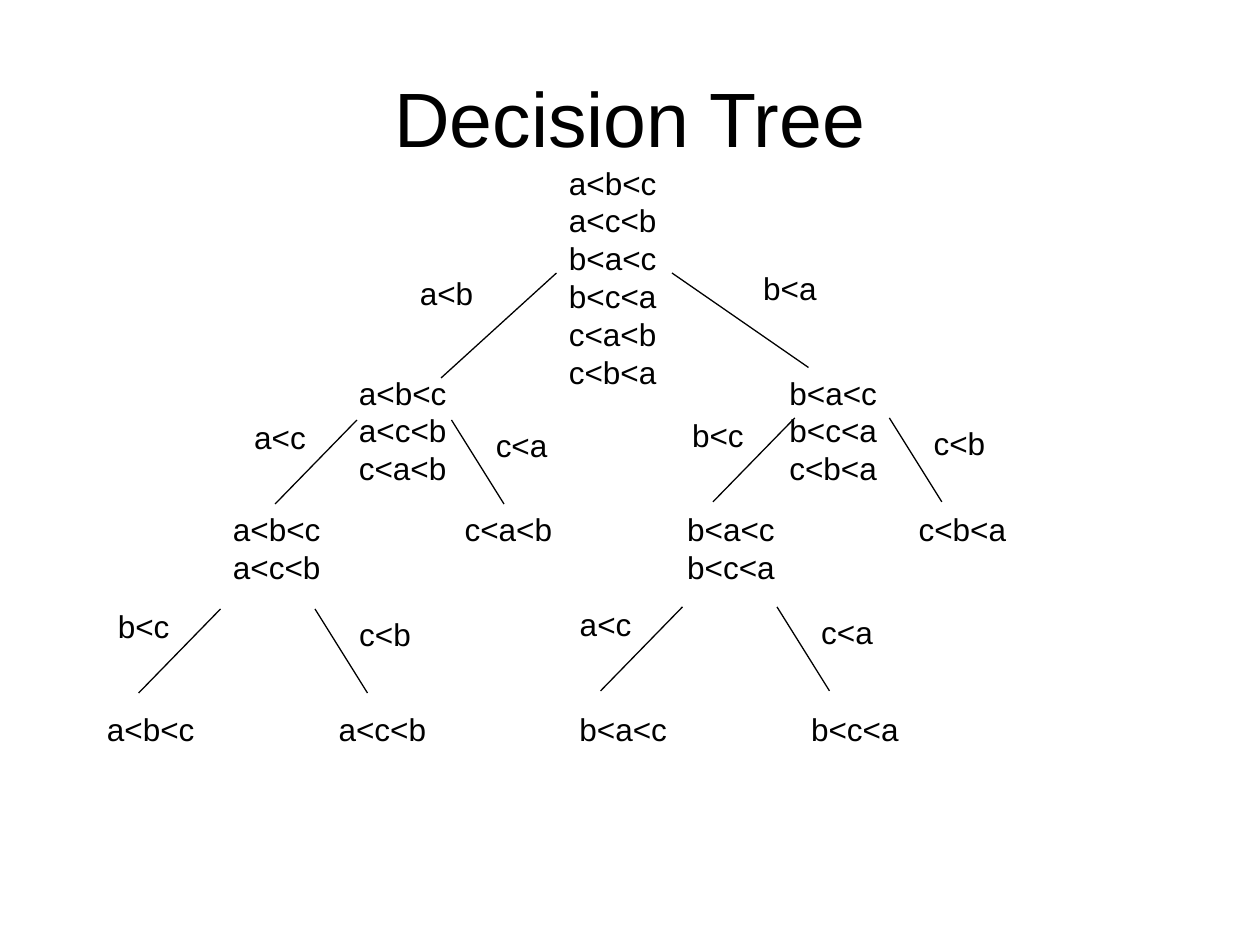
from lxml.etree import SubElement
from pptx import Presentation
from pptx.dml.color import RGBColor
from pptx.enum.shapes import MSO_CONNECTOR
from pptx.enum.text import MSO_ANCHOR, MSO_AUTO_SIZE, PP_ALIGN
from pptx.oxml.ns import qn
from pptx.util import Pt

COLORS = {"ink": "000000", "paper": "FFFFFF"}
INK = RGBColor.from_string(COLORS["ink"])
NODE_WIDTH, LABEL_WIDTH = 65, 45.5
LINE_HEIGHT, INSETS = 21.6, 7.2

deck = Presentation()
deck.slide_width, deck.slide_height = Pt(720), Pt(540)
page = deck.slides.add_slide(deck.slide_layouts[6])
page.background.fill.solid()
page.background.fill.fore_color.rgb = RGBColor.from_string(COLORS["paper"])


def add_text(left, top, width, lines, size=18, rows=None):
    """Add a text box one line per paragraph, as tall as rows lines."""
    height = INSETS + LINE_HEIGHT * (rows or len(lines))
    box = page.shapes.add_textbox(Pt(left), Pt(top), Pt(width), Pt(height))
    frame = box.text_frame
    frame.word_wrap = False
    frame.auto_size = MSO_AUTO_SIZE.SHAPE_TO_FIT_TEXT
    frame.text = "\n".join(lines)
    for para in frame.paragraphs:
        para.font.name = "Arial"
        para.font.size = Pt(size)
        para.font.color.rgb = INK
    return box


def add_branch(x1, y1, x2, y2):
    branch = page.shapes.add_connector(
        MSO_CONNECTOR.STRAIGHT, Pt(x1), Pt(y1), Pt(x2), Pt(y2))
    branch.line.color.rgb = INK
    branch.line.width = Pt(0.75)
    SubElement(branch._element.spPr, qn("a:effectLst"))


title = add_text(36, 21.6, 648, ["Decision Tree"], size=44)
title.text_frame.auto_size = MSO_AUTO_SIZE.NONE
title.text_frame.word_wrap = True
title.text_frame.vertical_anchor = MSO_ANCHOR.MIDDLE
title.text_frame.paragraphs[0].alignment = PP_ALIGN.CENTER
title.height = Pt(90)

# Orderings still possible at each node: left, top, lines, box rows
nodes = [
    (318, 90, "a<b<c a<c<b b<a<c b<c<a c<a<b c<b<a", 6),
    (198, 210, "a<b<c a<c<b c<a<b", 3),
    (444, 210, "b<a<c b<c<a c<b<a", 3),
    (258.4, 288, "c<a<b", 1),
    (126, 288, "a<b<c a<c<b", 2),
    (517.8, 288, "c<b<a", 1),
    (385.6, 288, "b<a<c b<c<a", 2),
    (186.4, 402, "a<c<b", 2),
    (54, 402, "a<b<c", 1),
    (456.4, 402, "b<c<a", 2),
    (324, 402, "b<a<c", 1),
]
for left, top, orderings, rows in nodes:
    add_text(left, top, NODE_WIDTH, orderings.split(), rows=rows)

# Root comparison
add_branch(318, 156, 252, 216)
add_text(232.8, 152.8, LABEL_WIDTH, ["a<b"])
add_branch(384, 156, 462, 210)
add_text(429, 150, LABEL_WIDTH, ["b<a"])

# Lower comparisons all share one fork shape, placed by its upper left end
forks = [
    (204, 240, "a<c", "c<a"),
    (126, 348, "b<c", "c<b"),
    (454.2, 238.8, "b<c", "c<b"),
    (390, 346.8, "a<c", "c<a"),
]
for x, y, left_test, right_test in forks:
    add_branch(x, y, x - 46.8, y + 48)
    add_text(x - 65.8, y - 4.6, LABEL_WIDTH, [left_test])
    add_branch(x + 54, y, x + 84, y + 48)
    add_text(x + 72.2, y, LABEL_WIDTH, [right_test])

deck.save("out.pptx")
